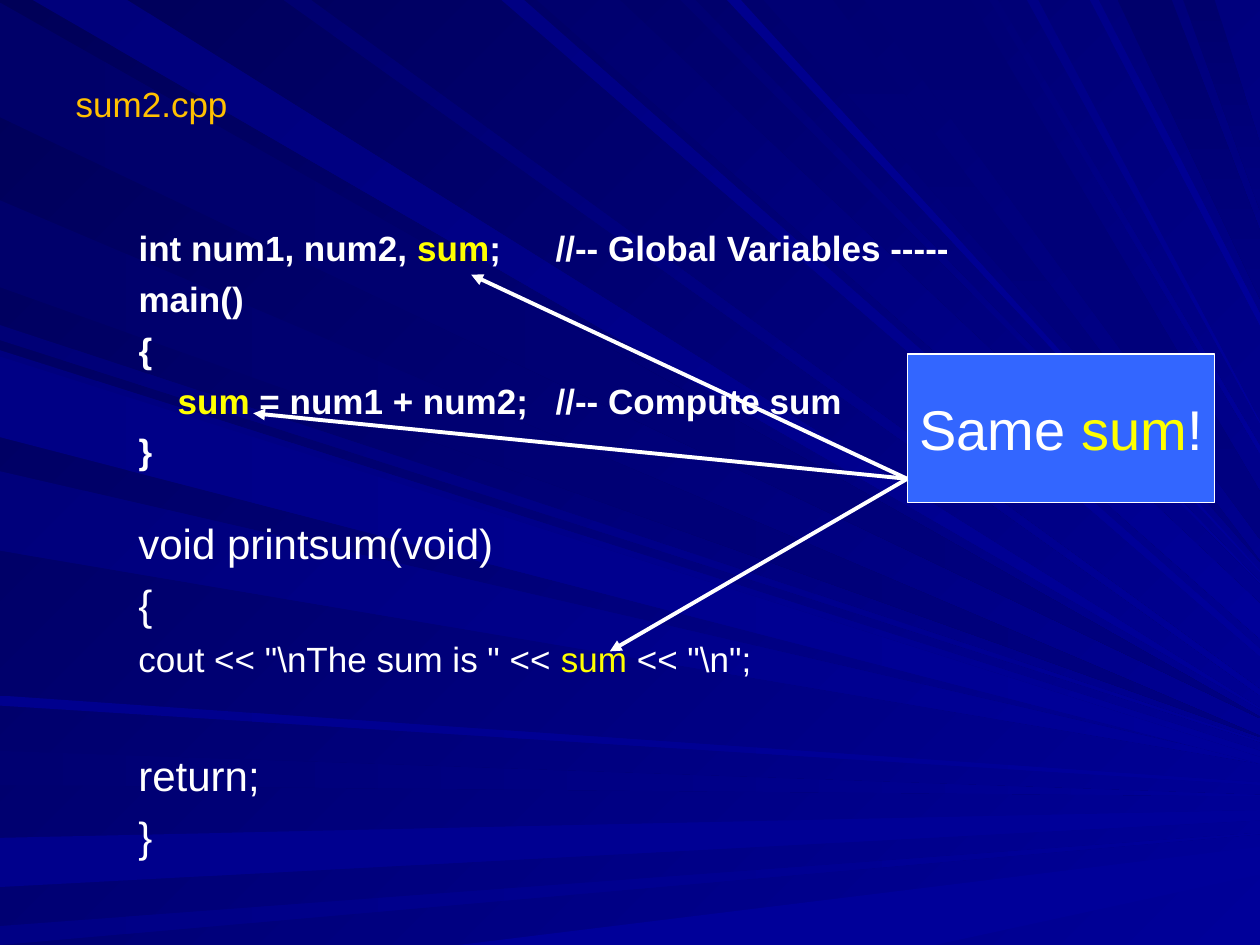
import dataclasses

import pptx
import pptx.dml.color
import pptx.enum.shapes
import pptx.enum.text
import pptx.oxml
import pptx.oxml.ns
import pptx.util
from pptx.util import Inches


@dataclasses.dataclass(frozen=True)
class Theme:
    font: str = "Arial"
    background: tuple = ("000058", "000099", 45)
    deep_ray: str = "000080"
    bright_ray: str = "000099"
    text: str = "FFFFFF"
    title: str = "FFC000"
    highlight: str = "FFFF00"
    callout: str = "3366FF"
    small: int = 20
    medium: int = 24
    large: int = 32
    title_space: int = 44


theme = Theme()
DEEP, BRIGHT = theme.deep_ray, theme.bright_ray

# Rays run from one slide edge to the right edge: edge, colours, gradient angle,
# then start and end of the ray on each edge, in hundredths of an inch
RAYS = [
    ("left", "000069", DEEP, 0, 2, 93, 569, 570),
    ("top", "00007B", BRIGHT, 45, 26, 101, 562, 563),
    ("left", "000071", BRIGHT, 0, 596, 623, 631, 632),
    ("left", "00008C", BRIGHT, 0, 665, 704, 643, 651),
    ("left", "000085", BRIGHT, 0, 735, 750, 661, 662),
    ("bottom", BRIGHT, BRIGHT, 0, 364, 742, 672, 694),
    ("left", "000076", BRIGHT, 45, 258, 270, 588, 589),
    ("left", "00006B", DEEP, 0, 159, 228, 584, 585),
    ("top", "000083", BRIGHT, 45, 398, 416, 515, 521),
    ("top", "00006D", BRIGHT, 45, 426, 492, 479, 507),
    ("top", "000073", BRIGHT, 45, 540, 552, 462, 463),
    ("top", "000073", DEEP, 90, 606, 661, 445, 446),
    ("top", "00006B", DEEP, 90, 887, 930, 183, 237),
    ("top", "00006D", DEEP, 90, 939, 964, 114, 167),
    ("left", "00007E", BRIGHT, 45, 278, 342, 596, 602),
    ("left", "00007B", BRIGHT, 45, 374, 437, 605, 606),
    ("left", "00008E", BRIGHT, 0, 552, 560, 621, 623),
    ("top", "000070", BRIGHT, 45, 225, 247, 547, 552),
    ("top", "00008E", BRIGHT, 45, 577, 588, 453, 454),
    ("top", "000073", DEEP, 90, 686, 770, 390, 428),
    ("top", "000078", BRIGHT, 45, 785, 792, 354, 360),
    ("top", "000085", BRIGHT, 45, 815, 824, 335, 336),
    ("top", "00008A", BRIGHT, 45, 865, 872, 249, 258),
    ("left", "000085", BRIGHT, 0, 283, 347, 601, 606),
]


def paint(fill, first, last, angle=0):
    """Fill with one colour, or with a gradient at a clockwise angle."""
    if first == last:
        fill.solid()
        fill.fore_color.rgb = pptx.dml.color.RGBColor.from_string(first)
        return
    fill.gradient()
    fill.gradient_angle = -angle % 360
    for stop, color in zip(fill.gradient_stops, (first, last)):
        stop.color.rgb = pptx.dml.color.RGBColor.from_string(color)


def write(paragraph, pieces, size, bold=False, color=theme.text):
    """Write the pieces as runs; every second piece is highlighted."""
    for index, piece in enumerate(pieces):
        run = paragraph.add_run()
        run.text = piece
        run.font.name = theme.font
        run.font.size = pptx.util.Pt(size)
        run.font.bold = bold
        run_color = theme.highlight if index % 2 else color
        run.font.color.rgb = pptx.dml.color.RGBColor.from_string(run_color)


presentation = pptx.Presentation()
presentation.slide_width, presentation.slide_height = Inches(10), Inches(7.5)
slide = presentation.slides.add_slide(presentation.slide_layouts[1])

# Background and rays, behind the placeholders
paint(slide.background.fill, *theme.background)
rays = slide.shapes.add_group_shape()
for edge, first, last, angle, start, end, tip_top, tip_bottom in RAYS:
    if edge == "left":
        base = [(0, end), (0, start)]
    else:
        edge_y = 0 if edge == "top" else 750
        base = [(start, edge_y), (end, edge_y)]
    tip = [(1000, tip_top), (1000, tip_bottom)]
    if edge == "bottom":
        tip.reverse()
    builder = rays.shapes.build_freeform(*base[0], scale=Inches(0.01))
    builder.add_line_segments(base[1:] + tip, close=True)
    ray = builder.convert_to_shape()
    ray.shadow.inherit = False
    ray.line.fill.background()
    paint(ray.fill, first, last, angle)
slide.shapes.title._element.addprevious(rays._element)

# Title
title = slide.shapes.title
title.left, title.top, title.width, title.height = map(Inches, (0.5, 0.3, 9, 0.77))
title.text_frame.vertical_anchor = pptx.enum.text.MSO_ANCHOR.MIDDLE
title.text_frame.auto_size = pptx.enum.text.MSO_AUTO_SIZE.NONE
title_paragraph = title.text_frame.paragraphs[0]
title_paragraph.alignment = pptx.enum.text.PP_ALIGN.LEFT
write(title_paragraph, ["sum2.cpp"], theme.small, color=theme.title)
write(title_paragraph, [" "], theme.title_space)

# Code: main in the body placeholder, printsum in a text box
main_code = slide.placeholders[1]
main_code.left, main_code.top, main_code.width, main_code.height = map(
    Inches, (0.5, 1.75, 9, 2.24))
print_code = slide.shapes.add_textbox(*map(Inches, (0.5, 4.06, 7.97, 2.71)))

# Each line: pieces, type size, blank lines before it
main_lines = [
    (["int num1, num2, ", "sum", ";\t//-- Global Variables -----"], theme.small, 0),
    (["main()"], theme.small, 0),
    (["{"], theme.small, 0),
    (["\t", "sum", " = num1 + num2;\t//-- Compute sum"], theme.small, 0),
    (["}"], theme.small, 0),
]
print_lines = [
    (["void printsum(void)"], theme.medium, 0),
    (["{"], theme.medium, 0),
    (['cout << "\\nThe sum is " << ', "sum", ' << "\\n";'], theme.small, 0),
    (["return;"], theme.medium, 1),
    (["}"], theme.medium, 0),
]
for shape, lines, bold in ((main_code, main_lines, True), (print_code, print_lines, False)):
    frame = shape.text_frame
    frame.word_wrap = True
    frame.auto_size = pptx.enum.text.MSO_AUTO_SIZE.NONE
    for index, (pieces, size, blank_lines) in enumerate(lines):
        paragraph = frame.add_paragraph() if index else frame.paragraphs[0]
        paragraph.level = 1
        properties = paragraph._p.get_or_add_pPr()
        properties.set("marL", str(Inches(0.81)))
        properties.set("indent", str(Inches(-0.31)))
        properties.append(pptx.oxml.parse_xml(f'<a:buNone {pptx.oxml.ns.nsdecls("a")}/>'))
        gap = size * (0.25 + 1.4 * blank_lines) if index else 0
        paragraph.space_before = pptx.util.Pt(gap)
        write(paragraph, pieces, size, bold)

# Callout
callout = slide.shapes.add_shape(
    pptx.enum.shapes.MSO_SHAPE.RECTANGLE, *map(Inches, (7.2, 2.81, 2.44, 1.18)))
callout.shadow.inherit = False
paint(callout.fill, theme.callout, theme.callout)
paint(callout.line.fill, theme.text, theme.text)
callout.line.width = pptx.util.Pt(0.75)
callout.text_frame.word_wrap = False
callout.text_frame.vertical_anchor = pptx.enum.text.MSO_ANCHOR.MIDDLE
callout_paragraph = callout.text_frame.paragraphs[0]
callout_paragraph.alignment = pptx.enum.text.PP_ALIGN.CENTER
write(callout_paragraph, ["Same ", "sum", "!"], theme.large)

# Arrows from the callout to each use of sum
for end_x, end_y in ((4.84, 5.17), (2.01, 3.28), (3.74, 2.18)):
    arrow = slide.shapes.add_connector(
        pptx.enum.shapes.MSO_CONNECTOR.STRAIGHT, *map(Inches, (7.2, 3.8, end_x, end_y)))
    paint(arrow.line.fill, theme.text, theme.text)
    arrow.line.width = pptx.util.Pt(2.25)
    properties = arrow._element.spPr
    line = properties.find(pptx.oxml.ns.qn("a:ln"))
    for parent, tag in ((line, 'tailEnd type="triangle"'), (properties, "effectLst")):
        name, _, attributes = tag.partition(" ")
        parent.append(pptx.oxml.parse_xml(
            f'<a:{name} {pptx.oxml.ns.nsdecls("a")} {attributes}/>'))

presentation.save("out.pptx")
